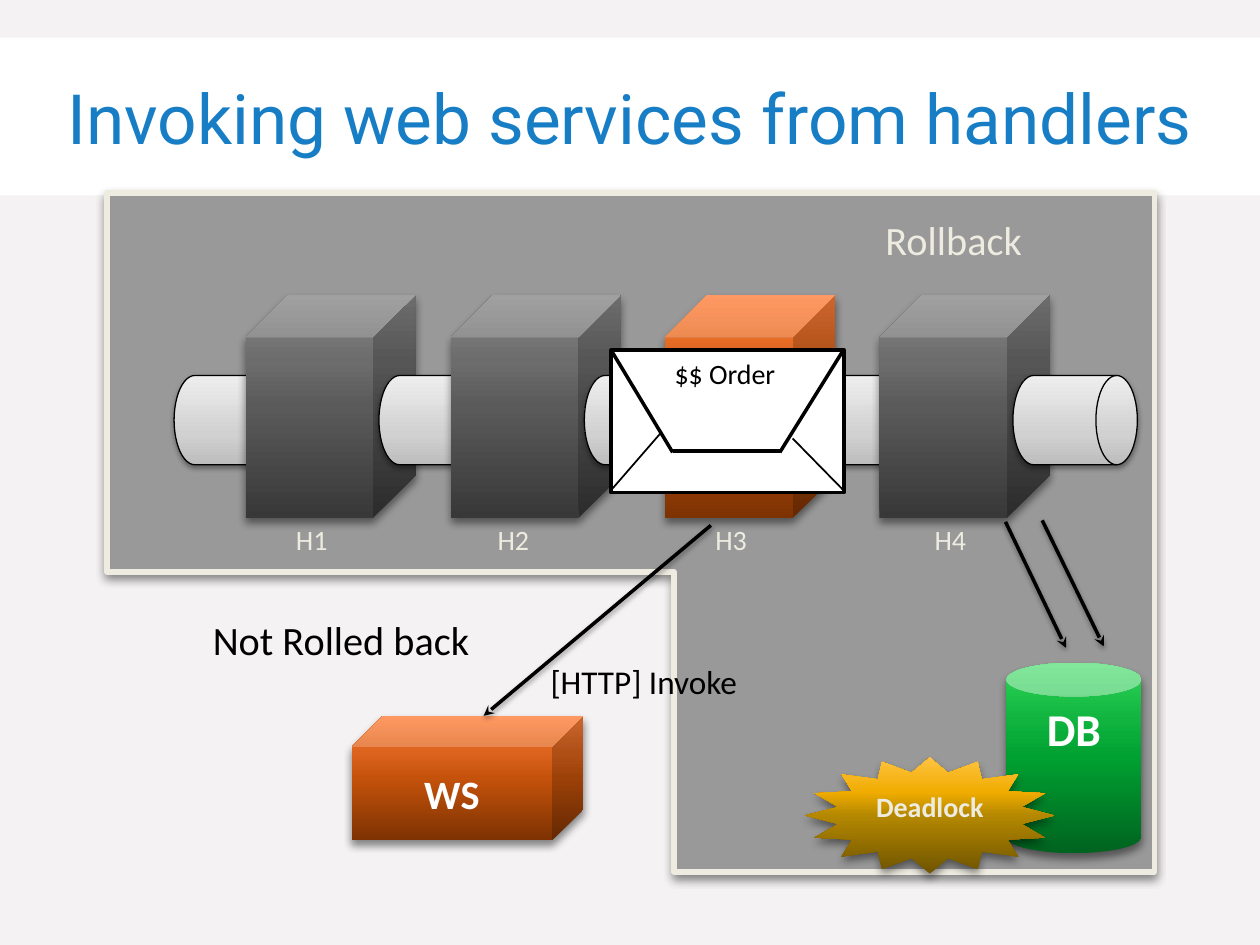
import pptx
import pptx.dml.color
import pptx.enum.shapes
import pptx.enum.text
import pptx.oxml.ns
import pptx.util
from dataclasses import dataclass
from lxml import etree

Cm = pptx.util.Cm
Pt = pptx.util.Pt
Shape = pptx.enum.shapes.MSO_SHAPE
Align = pptx.enum.text.PP_ALIGN
Anchor = pptx.enum.text.MSO_ANCHOR
qn = pptx.oxml.ns.qn


@dataclass(frozen=True)
class Theme:
    background: str = "F4F2F2"
    white: str = "FFFFFF"
    black: str = "000000"
    title: str = "177EC5"
    zone: str = "999999"
    cream: str = "EEECE1"
    # Gradients run from bottom to top as (percent, colour)
    pipe: tuple = ((0, "BDBDBD"), (35, "D1D1D1"), (100, "EEEEEE"))
    grey: tuple = ((0, "383838"), (50, "5A5A5A"), (70, "6C6C6C"), (100, "898989"))
    orange: tuple = ((0, "7D3203"), (50, "C4520B"), (70, "DB631C"), (100, "FF803C"))
    green: tuple = ((0, "00631F"), (50, "00A031"), (70, "10B43F"), (100, "2FD758"))
    gold: tuple = ((0, "705400"), (50, "B48800"), (70, "F0AC00"), (100, "FFC342"))
    # Shadows are (opacity percent, blur, distance)
    deep_shadow: tuple = (45, 5, 3)
    soft_shadow: tuple = (38, 3.1, 1.6)
    title_font: str = "Roboto"
    body_font: str = "Calibri"
    title_size: float = 39.6
    database_size: int = 26
    heading_size: int = 23
    note_size: int = 19
    label_size: int = 16


theme = Theme()
WIDE_INSETS = (0.25, 0.13)
TIGHT_INSETS = (0.2, 0.1)

# All positions and sizes are in centimetres.
TITLE = "Invoking web services from handlers"
ROLLBACK_ZONE = [(2.16, 3.89), (23.27, 3.89), (23.27, 17.58),
                 (13.59, 17.58), (13.59, 11.53), (2.16, 11.53)]
# name, cube left, cube colours, label left, label width
HANDLERS = [
    ("H1", 4.95, theme.grey, 4.57, 3.43),
    ("H2", 9.09, theme.grey, 8.46, 3.78),
    ("H3", 13.41, theme.orange, 12.85, 3.78),
    ("H4", 17.73, theme.grey, 17.27, 3.78),
]
FIRST_PIPE_LEFT = 3.51
PIPE_OFFSET = 2.69
# text, preset, box, colours, size, text colour, anchor
SERVICES = [
    ("WS", Shape.CUBE, (7.09, 14.43, 4.67, 2.51), theme.orange,
     theme.heading_size, theme.white, Anchor.MIDDLE),
    ("DB", Shape.CAN, (20.29, 13.36, 2.72, 3.84), theme.green,
     theme.database_size, theme.white, Anchor.TOP),
]
DEADLOCK = ("Deadlock", Shape.STAR_16_POINT, (16.23, 15.27, 5.03, 2.34), theme.gold,
            theme.label_size, theme.cream, Anchor.TOP)
# text, box, size, colour, insets
NOTES = [
    ("[HTTP] Invoke", (10.9, 13.23, 4.22, 1.02), theme.note_size, theme.black, TIGHT_INSETS),
    ("Rollback", (17.6, 4.22, 3.3, 1.24), theme.heading_size, theme.cream, WIDE_INSETS),
    ("Not Rolled back", (4.04, 12.27, 5.74, 1.24), theme.heading_size, theme.black, WIDE_INSETS),
]
CALL_ARROW = (14.33, 10.59, 9.75, 14.43)
QUERY_ARROWS = [(20.27, 10.52, 21.49, 13.06), (21.01, 10.49, 22.25, 13.03)]
ENVELOPE = (12.32, 7.06, 4.7, 2.87)
ENVELOPE_TEXT = ("$$ Order", (13, 7.06, 3.23, 0.94))
# start x, start y, end x, end y, width
FOLDS = [
    (12.32, 7.06, 13.56, 9.12, 2),
    (15.72, 9.12, 17, 7.06, 2),
    (13.56, 9.09, 15.72, 9.09, 2),
    (12.32, 9.88, 13.31, 8.74, 1),
    (15.98, 8.84, 17, 9.88, 1),
]


def rgb(colour):
    return pptx.dml.color.RGBColor.from_string(colour)


def add_child(parent, tag, **attributes):
    return etree.SubElement(parent, qn(tag), {k: str(v) for k, v in attributes.items()})


def set_shadow(shape, shadow):
    """Give the shape a downward shadow, or none at all."""
    effects = add_child(shape.element.spPr, "a:effectLst")
    if shadow:
        opacity, blur, distance = shadow
        outer = add_child(effects, "a:outerShdw", blurRad=Pt(blur), dist=Pt(distance),
                          dir=90 * 60000, rotWithShape=0)
        colour = add_child(outer, "a:srgbClr", val=theme.black)
        add_child(colour, "a:alpha", val=opacity * 1000)


def set_gradient(shape, stops):
    shape.fill.gradient()
    shape.fill.gradient_angle = 90
    stop_list = shape.element.spPr.find(qn("a:gradFill")).find(qn("a:gsLst"))
    for stop in list(stop_list):
        stop_list.remove(stop)
    for percent, colour in stops:
        add_child(add_child(stop_list, "a:gs", pos=percent * 1000), "a:srgbClr", val=colour)


def paint(shape, fill, line=None, shadow=None):
    """Style a shape; fill is a colour or gradient stops, line is (colour, width)."""
    if isinstance(fill, str):
        shape.fill.solid()
        shape.fill.fore_color.rgb = rgb(fill)
    else:
        set_gradient(shape, fill)
    if line:
        shape.line.color.rgb = rgb(line[0])
        shape.line.width = Pt(line[1])
    else:
        shape.line.fill.background()
    set_shadow(shape, shadow)


def add_box(shapes, preset, box, fill, line=None, shadow=None):
    shape = shapes.add_shape(preset, *map(Cm, box))
    paint(shape, fill, line, shadow)
    return shape


def add_zone(shapes):
    start, *corners = [(Cm(x), Cm(y)) for x, y in ROLLBACK_ZONE]
    builder = shapes.build_freeform(*start)
    builder.add_line_segments(corners, close=True)
    paint(builder.convert_to_shape(), theme.zone, (theme.cream, 3), theme.deep_shadow)


def write(shape, text, size, colour, align=Align.CENTER, anchor=Anchor.TOP,
          insets=TIGHT_INSETS, font=theme.body_font, bold=False, wrap=True):
    frame = shape.text_frame
    frame.word_wrap = wrap
    frame.vertical_anchor = anchor
    frame.margin_left = frame.margin_right = Cm(insets[0])
    frame.margin_top = frame.margin_bottom = Cm(insets[1])
    para = frame.paragraphs[0]
    para.text = text
    para.alignment = align
    para.font.name = font
    para.font.size = Pt(size)
    para.font.bold = bold
    para.font.color.rgb = rgb(colour)


def add_line(shapes, ends, width, arrow=False):
    line = shapes.add_connector(pptx.enum.shapes.MSO_CONNECTOR.STRAIGHT, *map(Cm, ends))
    line.line.color.rgb = rgb(theme.black)
    line.line.width = Pt(width)
    if arrow:
        add_child(line.element.spPr.find(qn("a:ln")), "a:tailEnd", type="stealth")
    set_shadow(line, theme.soft_shadow if arrow else None)


def add_pipe(shapes, left):
    add_box(shapes, Shape.FLOWCHART_DIRECT_ACCESS_STORAGE, (left, 7.57, 2.51, 1.8),
            theme.pipe, (theme.black, 0.75), theme.soft_shadow)


def add_service(shapes, text, preset, box, fill, size, colour, anchor):
    shape = add_box(shapes, preset, box, fill, shadow=theme.deep_shadow)
    write(shape, text, size, colour, anchor=anchor, bold=True)


def add_envelope(shapes):
    group = shapes.add_group_shape().shapes
    add_box(group, Shape.RECTANGLE, ENVELOPE, theme.white, (theme.black, 2))
    for *ends, width in FOLDS:
        add_line(group, ends, width)
    text, box = ENVELOPE_TEXT
    write(group.add_textbox(*map(Cm, box)), text, theme.label_size, theme.black,
          insets=WIDE_INSETS)


def main():
    deck = pptx.Presentation()
    deck.slide_width, deck.slide_height = Cm(25.4), Cm(19.05)
    page = deck.slides.add_slide(deck.slide_layouts[6])
    page.background.fill.solid()
    page.background.fill.fore_color.rgb = rgb(theme.background)
    shapes = page.shapes

    band = add_box(shapes, Shape.RECTANGLE, (0, 0.76, 25.4, 3.18), theme.white)
    write(band, TITLE, theme.title_size, theme.title, anchor=Anchor.MIDDLE,
          insets=WIDE_INSETS, font=theme.title_font)

    add_zone(shapes)
    add_pipe(shapes, FIRST_PIPE_LEFT)
    for name, left, fill, label_left, label_width in HANDLERS:
        add_box(shapes, Shape.CUBE, (left, 5.94, 3.43, 4.5), fill, shadow=theme.deep_shadow)
        add_pipe(shapes, left + PIPE_OFFSET)
        label = shapes.add_textbox(*map(Cm, (label_left, 10.44, label_width, 0.89)))
        write(label, name, theme.label_size, theme.cream)
    for service in SERVICES:
        add_service(shapes, *service)
    add_line(shapes, CALL_ARROW, 2, arrow=True)
    add_envelope(shapes)
    for ends in QUERY_ARROWS:
        add_line(shapes, ends, 2, arrow=True)
    add_service(shapes, *DEADLOCK)
    for text, box, size, colour, insets in NOTES:
        write(shapes.add_textbox(*map(Cm, box)), text, size, colour,
              align=Align.LEFT, insets=insets, wrap=False)
    deck.save("out.pptx")


if __name__ == "__main__":
    main()
